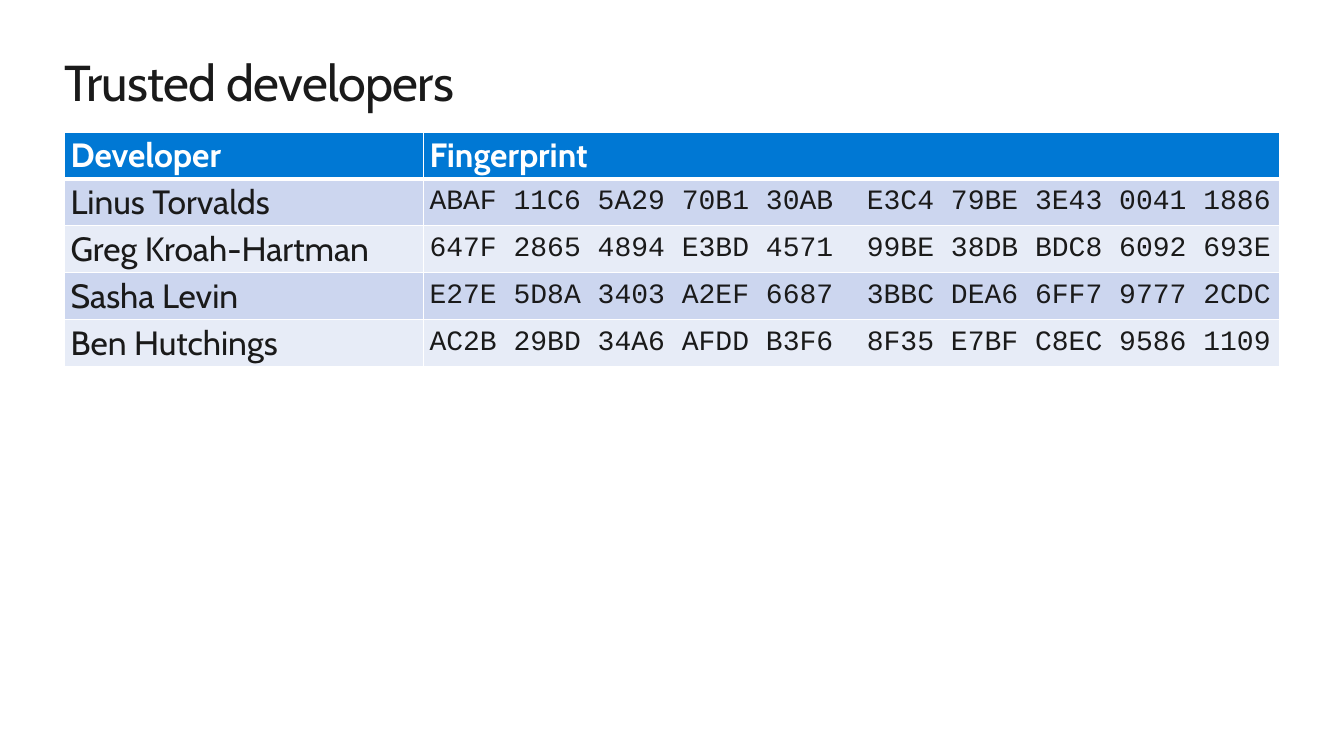
"""Build the slide listing trusted developers and their key fingerprints."""
import pptx
import pptx.dml.color
import pptx.enum.text
import pptx.oxml.ns
import pptx.util
from lxml import etree

Inches, Pt = pptx.util.Inches, pptx.util.Pt
MIDDLE = pptx.enum.text.MSO_ANCHOR.MIDDLE

TITLE = "Trusted developers"
ROWS = [
    ("Developer", "Fingerprint"),
    ("Linus Torvalds", "ABAF 11C6 5A29 70B1 30AB  E3C4 79BE 3E43 0041 1886"),
    ("Greg Kroah-Hartman", "647F 2865 4894 E3BD 4571  99BE 38DB BDC8 6092 693E"),
    ("Sasha Levin", "E27E 5D8A 3403 A2EF 6687  3BBC DEA6 6FF7 9777 2CDC"),
    ("Ben Hutchings", "AC2B 29BD 34A6 AFDD B3F6  8F35 E7BF C8EC 9586 1109"),
]
COL_WIDTHS = (3.56, 8.49)
ROW_HEIGHT = 0.41
LEFT, WIDTH = 0.64, sum(COL_WIDTHS)
INK, WHITE, HEADER = "1A1A1A", "FFFFFF", "0078D4"
BANDS = ("E7ECF7", "CCD6EF")


def rgb(value):
    return pptx.dml.color.RGBColor.from_string(value)


def style(p, size, font, color, bold=False):
    for r in p.runs:
        r.font.size, r.font.name, r.font.bold = Pt(size), font, bold
        r.font.color.rgb = rgb(color)


def add_border(cell, side, width):
    qn = pptx.oxml.ns.qn
    tc_pr = cell._tc.get_or_add_tcPr()
    ln = etree.SubElement(tc_pr, qn(f"a:ln{side}"), w=str(Pt(width)))
    fill = etree.SubElement(ln, qn("a:solidFill"))
    etree.SubElement(fill, qn("a:srgbClr"), val=WHITE)


def add_title(s):
    title = s.shapes.title
    title.left, title.top = Inches(LEFT), Inches(0.5)
    title.width, title.height = Inches(WIDTH), Inches(0.61)
    tf = title.text_frame
    tf.text = TITLE
    tf.margin_left = tf.margin_right = tf.margin_top = tf.margin_bottom = 0
    tf.vertical_anchor = MIDDLE
    tf.auto_size = pptx.enum.text.MSO_AUTO_SIZE.NONE
    p = tf.paragraphs[0]
    p.alignment = pptx.enum.text.PP_ALIGN.LEFT
    style(p, 36, "Cabin", INK)
    p.runs[0].font._element.set("spc", "-50")


def fill_cell(cell, text, row, col):
    header = row == 0
    cell.text = text
    cell.vertical_anchor = MIDDLE
    cell.margin_left = cell.margin_right = Inches(0.06)
    cell.margin_top = cell.margin_bottom = Inches(0.03)
    for side in "LRTB":
        under_header = (row, side) in ((0, "B"), (1, "T"))
        add_border(cell, side, 3 if under_header else 1)
    cell.fill.solid()
    cell.fill.fore_color.rgb = rgb(HEADER if header else BANDS[row % 2])
    size, font = (20, "Courier New") if col and not header else (24, "Cabin")
    style(cell.text_frame.paragraphs[0], size, font, WHITE if header else INK, header)


def add_developers(s):
    table = s.shapes.add_table(
        len(ROWS), len(COL_WIDTHS), Inches(LEFT), Inches(1.31),
        Inches(WIDTH), Inches(ROW_HEIGHT * len(ROWS))).table
    for column, width in zip(table.columns, COL_WIDTHS):
        column.width = Inches(width)
    for row, texts in enumerate(ROWS):
        table.rows[row].height = Inches(ROW_HEIGHT)
        for col, text in enumerate(texts):
            fill_cell(table.cell(row, col), text, row, col)


def main():
    prs = pptx.Presentation()
    prs.slide_width, prs.slide_height = Inches(13.33), Inches(7.5)
    s = prs.slides.add_slide(prs.slide_layouts[5])
    add_title(s)
    add_developers(s)
    prs.save("out.pptx")


if __name__ == "__main__":
    main()
